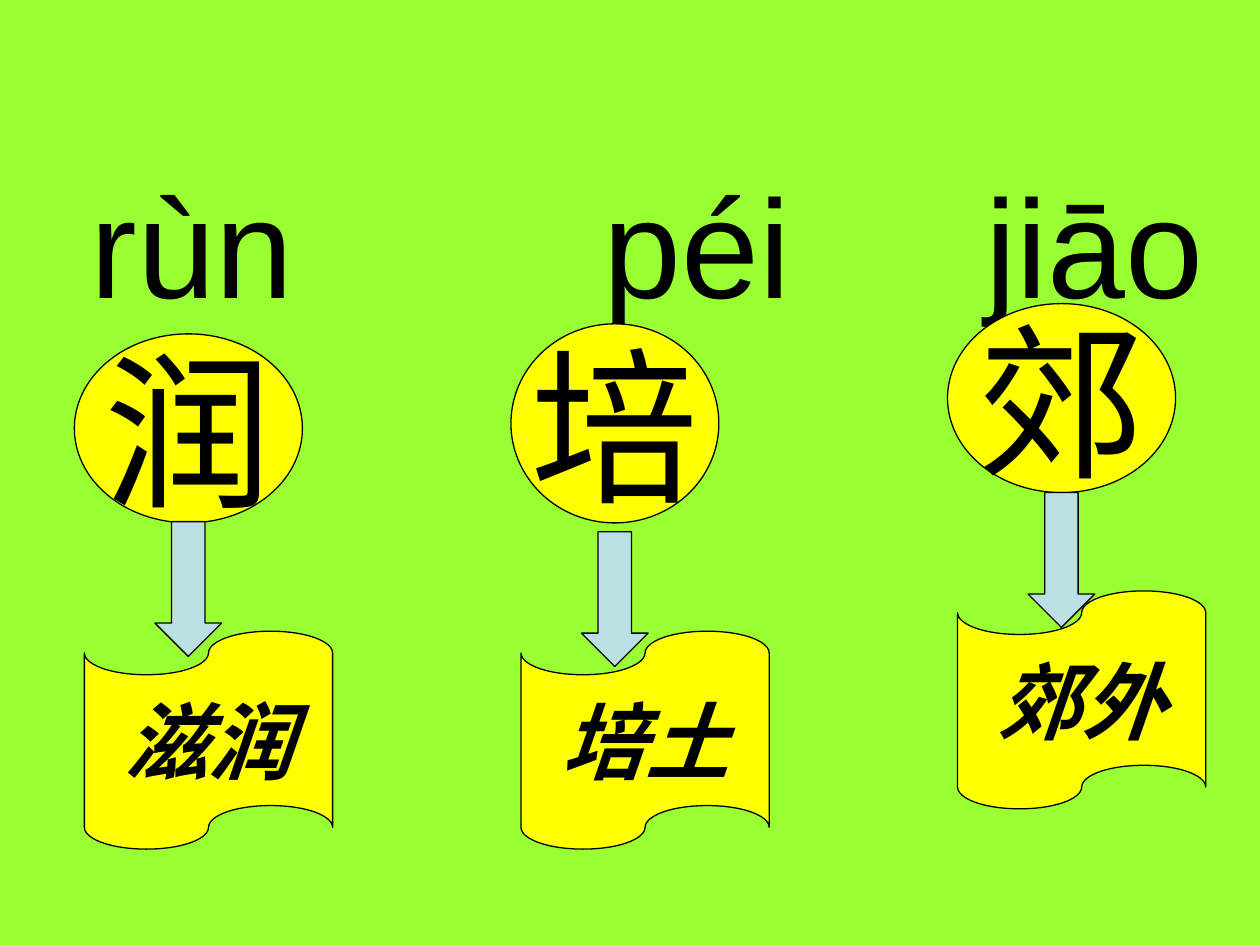
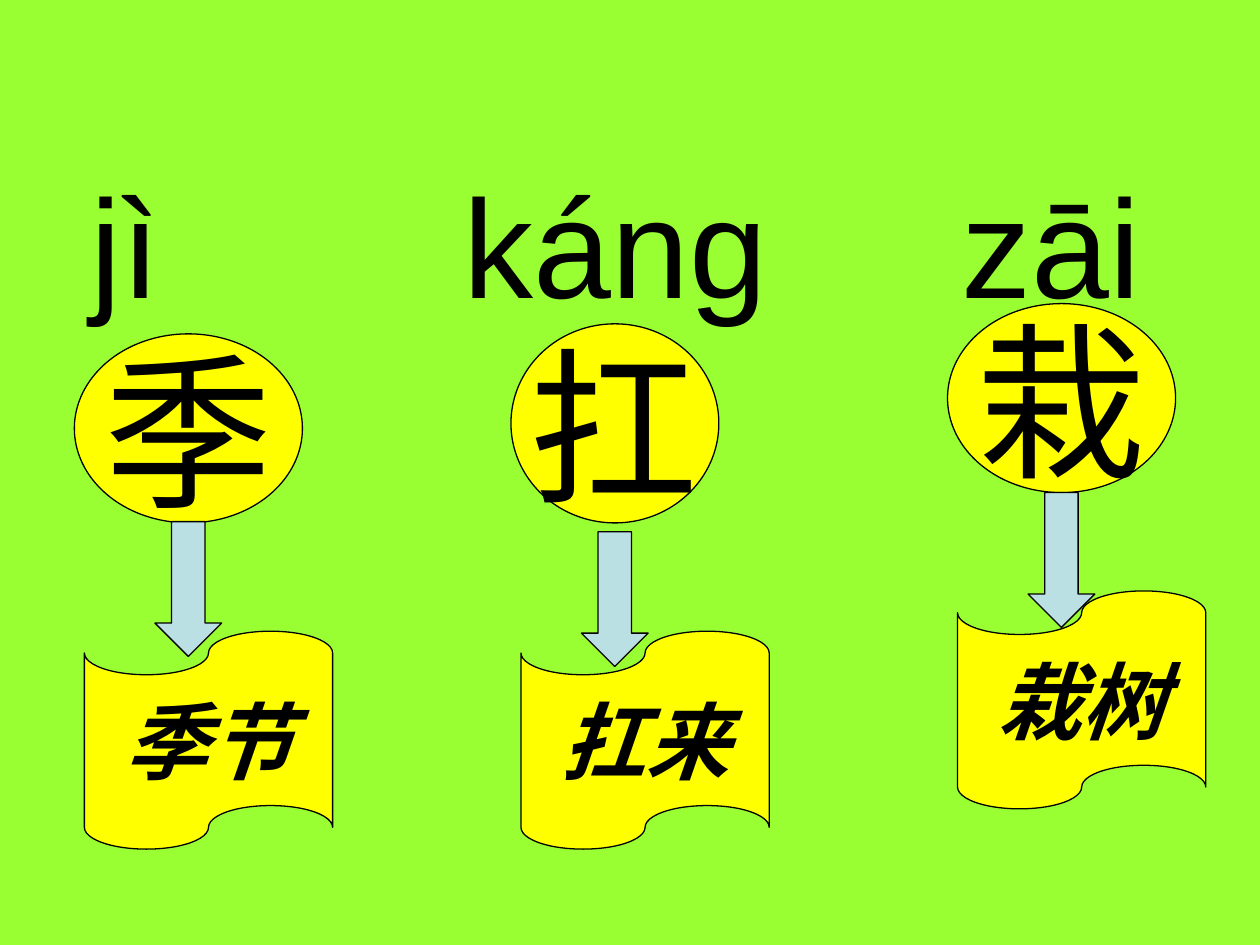
from collections import namedtuple

from lxml.etree import SubElement
from pptx import Presentation
from pptx.dml.color import RGBColor
from pptx.enum.shapes import MSO_SHAPE
from pptx.enum.text import MSO_ANCHOR, PP_ALIGN
from pptx.oxml.ns import qn
from pptx.util import Inches, Pt

Box = namedtuple("Box", "left top width height")
Column = namedtuple("Column", "circle_top circle_width circle_height arrow_top tape_top")
Word = namedtuple("Word", "pinyin character example")

GRID_COLUMNS, GRID_ROWS = 100, 75
CELL = Inches(0.1)
GREEN, YELLOW, BLUE, BLACK = "99FF33", "FFFF00", "BBE0E3", "000000"

PINYIN_BOX = Box(0, 12.3, 99.3, 11.8)
PINYIN_INDENT = 7.2
FIRST_COLUMN, COLUMN_PITCH = 5.9, 34.65
COLUMNS = [
    Column(26.5, 18.1, 15, 41.4, 50.1),
    Column(25.7, 16.5, 15.8, 42.2, 50.1),
    Column(24.1, 18.1, 15, 39.1, 46.9),
]
ARROW_WIDTH, ARROW_HEIGHT = 5.3, 10.7
TAPE_SHIFT, TAPE_WIDTH, TAPE_HEIGHT = 0.8, 19.7, 17.3

PINYIN_FONT = {"name": "Arial", "size": Pt(80)}
CHARACTER_FONT = {"name": "Arial", "size": Pt(96)}
EXAMPLE_FONT = {"name": "Arial", "size": Pt(48), "bold": True, "italic": True}

LESSONS = [
    ((40.7, 71), [Word("rùn", "润", "滋润"), Word("péi", "培", "培土"), Word("jiāo", "郊", "郊外")]),
    ((29.6, 69.1), [Word("jì", "季", "季节"), Word("káng", "扛", "扛来"), Word("zāi", "栽", "栽树")]),
]


def cells(count):
    """Turn a number of grid cells into a length."""
    return round(count * CELL)


def color(hex_string):
    """Turn a hex string into a colour."""
    return RGBColor.from_string(hex_string)


def place(box):
    """Turn a box in grid cells into four lengths."""
    return [cells(value) for value in box]


def set_attributes(target, values):
    """Set every attribute named in a dict."""
    for name, value in values.items():
        setattr(target, name, value)


def write(paragraph, text, font):
    """Write black text in the given font."""
    paragraph.text = text
    set_attributes(paragraph.font, font)
    paragraph.font.color.rgb = color(BLACK)


def add_outlined_shape(slide, kind, box, fill, text="", font=None):
    """Add a filled preset shape with a thin black outline and optional text."""
    shape = slide.shapes.add_shape(kind, *place(box))
    shape.shadow.inherit = False
    shape.fill.solid()
    shape.fill.fore_color.rgb = color(fill)
    shape.line.color.rgb = color(BLACK)
    shape.line.width = Pt(0.75)
    if text:
        set_attributes(shape.text_frame, {"word_wrap": False, "vertical_anchor": MSO_ANCHOR.MIDDLE})
        paragraph = shape.text_frame.paragraphs[0]
        paragraph.alignment = PP_ALIGN.CENTER
        write(paragraph, text, font)


def add_pinyin_line(slide, box, syllables, tab_stops):
    """Add the row of syllables, spaced by tab stops."""
    frame = slide.shapes.add_textbox(*place(box)).text_frame
    set_attributes(frame, {
        "word_wrap": True,
        "vertical_anchor": MSO_ANCHOR.TOP,
        "margin_left": cells(PINYIN_INDENT),
        "margin_right": 0,
        "margin_top": cells(0.3),
        "margin_bottom": 0,
    })
    paragraph = frame.paragraphs[0]
    tab_list = SubElement(paragraph._p.get_or_add_pPr(), qn("a:tabLst"))
    for stop in tab_stops:
        SubElement(tab_list, qn("a:tab"), pos=str(cells(stop)), algn="l")
    write(paragraph, "\t".join(syllables), PINYIN_FONT)


def add_word_column(slide, left, column, word):
    """Add a character in a circle, an arrow down and its example word."""
    circle = Box(left, column.circle_top, column.circle_width, column.circle_height)
    arrow_left = left + (column.circle_width - ARROW_WIDTH) / 2
    arrow = Box(arrow_left, column.arrow_top, ARROW_WIDTH, ARROW_HEIGHT)
    tape = Box(left + TAPE_SHIFT, column.tape_top, TAPE_WIDTH, TAPE_HEIGHT)
    add_outlined_shape(slide, MSO_SHAPE.OVAL, circle, YELLOW, word.character, CHARACTER_FONT)
    add_outlined_shape(slide, MSO_SHAPE.DOWN_ARROW, arrow, BLUE)
    add_outlined_shape(slide, MSO_SHAPE.FLOWCHART_PUNCHED_TAPE, tape, YELLOW, word.example, EXAMPLE_FONT)


def add_lesson_slide(presentation, tab_stops, words):
    """Add a green slide that teaches three characters."""
    slide = presentation.slides.add_slide(presentation.slide_layouts[6])
    slide.background.fill.solid()
    slide.background.fill.fore_color.rgb = color(GREEN)
    add_pinyin_line(slide, PINYIN_BOX, [word.pinyin for word in words], tab_stops)
    for index, (column, word) in enumerate(zip(COLUMNS, words)):
        add_word_column(slide, FIRST_COLUMN + index * COLUMN_PITCH, column, word)


def main():
    """Build and save the presentation."""
    presentation = Presentation()
    presentation.slide_width = cells(GRID_COLUMNS)
    presentation.slide_height = cells(GRID_ROWS)
    for tab_stops, words in LESSONS:
        add_lesson_slide(presentation, tab_stops, words)
    presentation.save("out.pptx")


if __name__ == "__main__":
    main()
